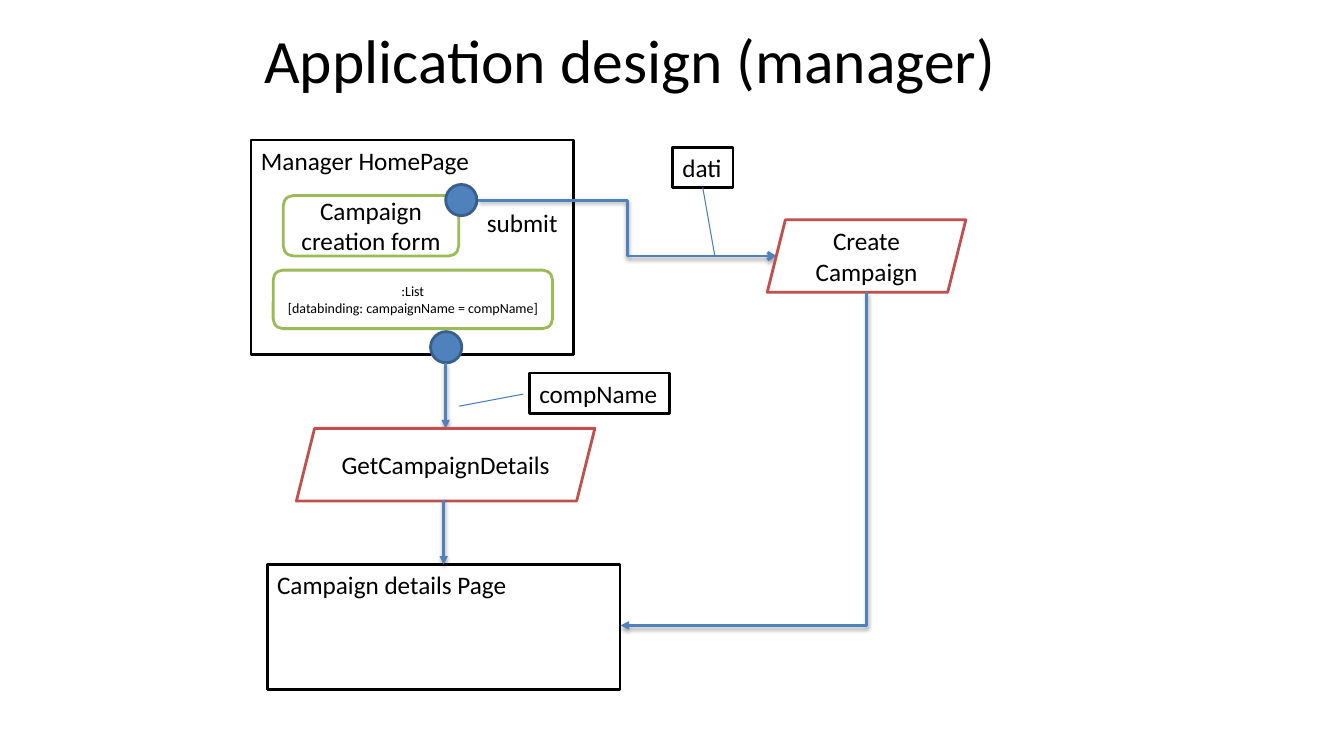
from pptx import Presentation
from pptx.dml.color import RGBColor
from pptx.enum.shapes import MSO_CONNECTOR as CXN, MSO_SHAPE as SHAPE
from pptx.enum.text import MSO_ANCHOR as ANCHOR, PP_ALIGN as ALIGN
from pptx.oxml import parse_xml
from pptx.oxml.ns import nsdecls, qn
from pptx.util import Pt

PX = 9144
BLACK, WHITE, BLUE, NAVY = "000000", "FFFFFF", "4F81BD", "3A5F8C"
GREEN, RED, THIN_BLUE = "9BBB59", "C0504D", "4B7EBC"
SHADOW = (
    '<a:outerShdw blurRad="40000" dist="20000" dir="5400000" rotWithShape="0">'
    '<a:srgbClr val="000000"><a:alpha val="38000"/></a:srgbClr></a:outerShdw>'
)


def rgb(value):
    return RGBColor.from_string(value)


def emu(*lengths):
    return [n * PX for n in lengths]


def write(shape, text, size=18, center=True, wrap=True):
    tf = shape.text_frame
    tf.word_wrap = wrap
    tf.vertical_anchor = ANCHOR.MIDDLE if center else ANCHOR.TOP
    tf.text = text
    for p in tf.paragraphs:
        p.alignment = ALIGN.CENTER if center else ALIGN.LEFT
        for r in p.runs:
            r.font.name = "Calibri"
            r.font.size = Pt(size)
            r.font.color.rgb = rgb(BLACK)


def add_block(s, kind, box, line, fill=WHITE):
    sp = s.shapes.add_shape(kind, *emu(*box))
    sp.shadow.inherit = False
    sp.fill.solid()
    sp.fill.fore_color.rgb = rgb(fill)
    sp.line.color.rgb = rgb(line)
    sp.line.width = Pt(2)
    return sp


def add_text(s, box, text, **style):
    sp = s.shapes.add_textbox(*emu(*box))
    write(sp, text, **style)


def add_page(s, box, name):
    sp = add_block(s, SHAPE.RECTANGLE, box, BLACK)
    write(sp, name, center=False)
    return sp


def add_line(s, start, end, color=BLUE, width=2, kind=CXN.STRAIGHT, head=None):
    c = s.shapes.add_connector(kind, *emu(*start, *end))
    c.line.color.rgb = rgb(color)
    c.line.width = Pt(width)
    if head:
        tail = parse_xml(f'<a:tailEnd {nsdecls("a")} type="{head}"/>')
        c.line._get_or_add_ln().append(tail)
    effects = SHADOW if head else ""
    c._element.spPr.append(
        parse_xml(f'<a:effectLst {nsdecls("a")}>{effects}</a:effectLst>'))
    return c


def add_corner_arrow(s, start, end):
    across, down = start[0] - end[0], end[1] - start[1]
    left = (start[0] + end[0] - down) // 2
    top = (start[1] + end[1] - across) // 2
    c = add_line(s, (left, top), (left + down, top + across),
                 kind=CXN.ELBOW, head="triangle")
    spPr = c._element.spPr
    spPr.find(qn("a:xfrm")).set("rot", "5400000")
    spPr.find(qn("a:prstGeom")).set("prst", "bentConnector2")


def add_title(s, box):
    add_text(s, box, "Application design (manager)", size=44)


def add_home_page(s, box):
    x, y, w, h = box
    add_page(s, box, "Manager HomePage")
    form = add_block(s, SHAPE.ROUNDED_RECTANGLE, (x + 32, y + 55, 174, 60), GREEN)
    write(form, "Campaign creation form")
    listing = add_block(s, SHAPE.ROUNDED_RECTANGLE, (x + 22, y + 129, 277, 58), GREEN)
    write(listing, ":List\n[databinding: campaignName = compName]", size=10)
    for dx, dy in ((193, 44), (178, 190)):
        add_block(s, SHAPE.OVAL, (x + dx, y + dy, 31, 31), NAVY, fill=BLUE)
    add_text(s, (x + 224, y + 62, 91, 40), "submit", center=False, wrap=False)


def add_action(s, box, name):
    write(add_block(s, SHAPE.PARALLELOGRAM, box, RED), name)


def add_parameter(s, box, name):
    sp = add_block(s, SHAPE.RECTANGLE, box, BLACK)
    write(sp, name, center=False, wrap=False)
    return sp


def add_create_flow(s, box):
    x, y, w, h = box
    add_line(s, (x, y + 53), (x + 296, y + 108), kind=CXN.ELBOW, head="arrow")
    dati = add_parameter(s, (x + 193, y, 60, 40), "dati")
    leader = add_line(s, (x + 223, y + 40), (x + 235, y + 108), THIN_BLUE, 0.75)
    leader.begin_connect(dati, 2)
    add_action(s, (x + w - 197, y + 72, 197, 72), "Create Campaign")
    add_corner_arrow(s, (x + 386, y + 144), (x + 142, y + 475))


def add_details_flow(s, box):
    x, y, w, h = box
    add_line(s, (x + 148, y), (x + 148, y + 65), head="triangle")
    add_parameter(s, (x + 231, y + 10, 139, 40), "compName")
    add_line(s, (x + 161, y + 43), (x + 225, y + 31), THIN_BLUE, 0.75)
    add_action(s, (x, y + 65, 296, 72), "GetCampaignDetails")
    page = add_page(s, (x - 29, y + 200, 350, h - 200), "Campaign details Page")
    arrow = add_line(s, (x + 146, y + 136), (x + 146, y + 200), head="triangle")
    arrow.end_connect(page, 0)


def main():
    prs = Presentation()
    prs.slide_width, prs.slide_height = emu(1333, 750)
    s = prs.slides.add_slide(prs.slide_layouts[6])
    add_title(s, (25, -4, 1200, 125))
    add_home_page(s, (249, 139, 320, 213))
    add_create_flow(s, (474, 146, 484, 475))
    add_details_flow(s, (294, 360, 370, 324))
    prs.save("out.pptx")


if __name__ == "__main__":
    main()
